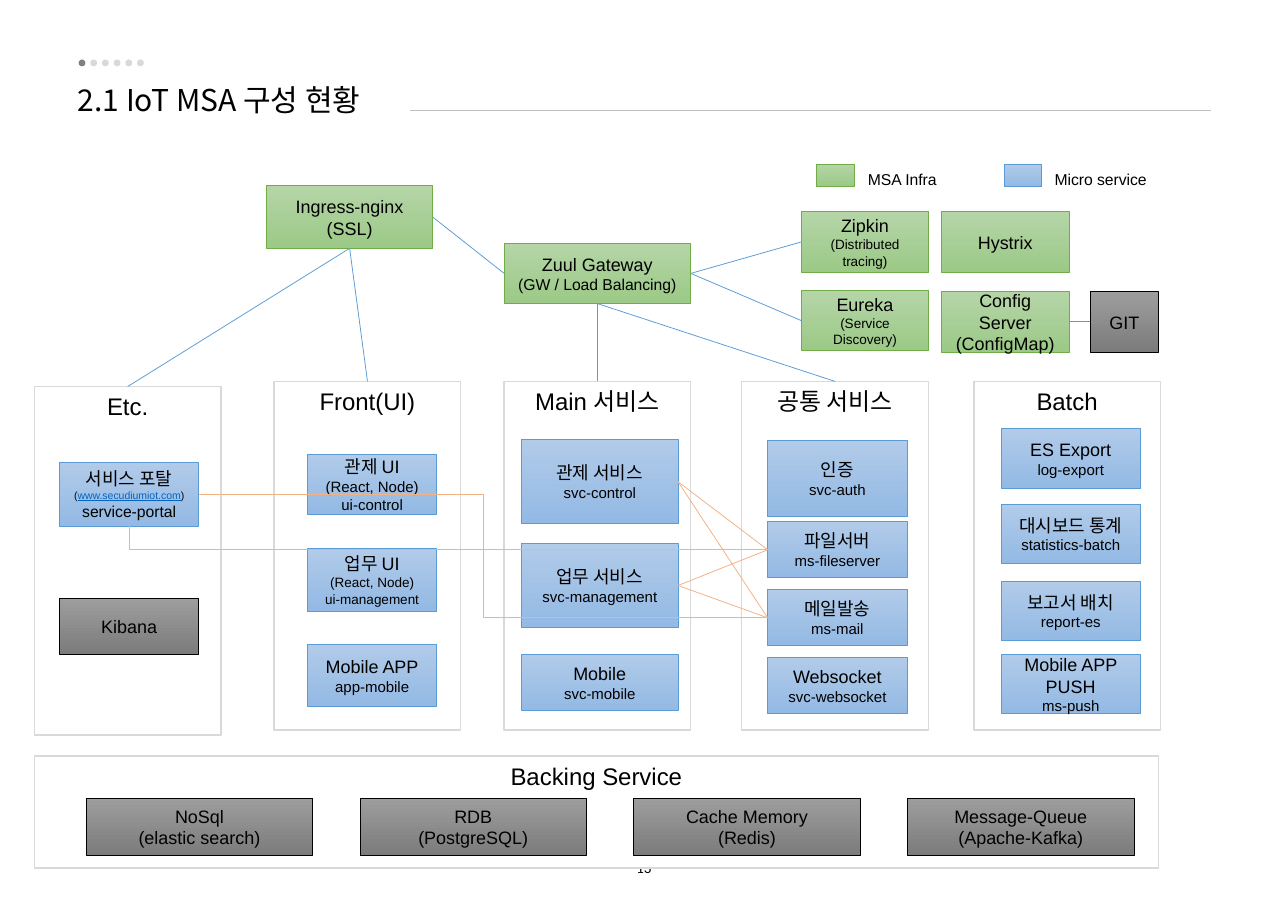
from lxml import etree
from pptx import Presentation
from pptx.dml.color import RGBColor
from pptx.enum.shapes import MSO_CONNECTOR as Connector, MSO_SHAPE as Shape
from pptx.enum.text import MSO_ANCHOR as Anchor, MSO_AUTO_SIZE as AutoSize, PP_ALIGN as Align
from pptx.oxml.ns import qn
from pptx.util import Cm, Pt


def color(value):
    return RGBColor.from_string(value)


def write(frame, lines, align=Align.CENTER, font="Arial"):
    """Fill a text frame with lines of the form (size, run, run, ...)."""
    for index, (size, *texts) in enumerate(lines):
        paragraph = frame.add_paragraph() if index else frame.paragraphs[0]
        paragraph.alignment = align
        for text in texts:
            is_link = text.startswith("www.")
            run = paragraph.add_run()
            run.text = text
            run.font.name = font
            run.font.size = Pt(size)
            run.font.underline = is_link
            run.font.color.rgb = color("0563C1" if is_link else "000000")


presentation = Presentation()
presentation.slide_width = Cm(30.3)
presentation.slide_height = Cm(21.59)
slide = presentation.slides.add_slide(presentation.slide_layouts[5])
shapes = slide.shapes

# Heading: title, progress dots and rule
title = shapes.title
title.left, title.top, title.width, title.height = Cm(1.83), Cm(1.88), Cm(7.8), Cm(1.02)
frame = title.text_frame
frame.word_wrap = False
frame.auto_size = AutoSize.SHAPE_TO_FIT_TEXT
frame.vertical_anchor = Anchor.MIDDLE
frame.margin_left, frame.margin_right = 0, Cm(0.1)
write(frame, [(20, "2.1 IoT MSA 구성 현황")], Align.LEFT, "Noto Sans CJK KR")
frame.paragraphs[0].line_spacing = 0.9

for index in range(6):
    dot = shapes.add_shape(Shape.OVAL, Cm(1.85 + 0.275 * index), Cm(1.4), Cm(0.16), Cm(0.16))
    dot.shadow.inherit = False
    dot.fill.solid()
    dot.fill.fore_color.rgb = color("D9D9D9" if index else "808080")
    dot.line.fill.background()

rule = shapes.add_connector(Connector.STRAIGHT, Cm(9.65), Cm(2.59), Cm(28.5), Cm(2.59))
connectors = [(rule, "BFBFBF")]

# Page number and legend labels
labels = [
    (13.03, 20.07, 4.24, 1.14, 10, "13", Align.CENTER, "Calibri"),
    (20.17, 3.86, 2.92, 0.71, 10.5, "MSA Infra", Align.LEFT, "Arial"),
    (24.56, 3.86, 2.92, 0.71, 10.5, "Micro service", Align.LEFT, "Arial"),
]
for left, top, width, height, size, text, align, font in labels:
    label = shapes.add_textbox(Cm(left), Cm(top), Cm(width), Cm(height))
    label.text_frame.word_wrap = True
    write(label.text_frame, [(size, text)], align, font)

# Styles: fill at the top, fill at the bottom, line, line width
PANEL = ("FFFFFF", "FFFFFF", "D9D9D9", 1)
INFRA = ("B5D5A7", "9CC987", "70AD47", 0.5)
SERVICE = ("B1CBE9", "93B9E4", "5B9BD5", 0.5)
EXTERNAL = ("9D9D9D", "7C7C7C", "000000", 0.5)

boxes = [
    (INFRA, 19.2, 3.86, 0.89, 0.53, []),
    (SERVICE, 23.62, 3.86, 0.89, 0.53, []),
    (INFRA, 6.27, 4.37, 3.91, 1.47, [(12, "Ingress-nginx"), (12, "(SSL)")]),
    (INFRA, 11.86, 5.72, 4.39, 1.42, [(12, "Zuul Gateway"), (10.5, "(GW / Load Balancing)")]),
    (INFRA, 18.85, 4.98, 3, 1.42, [(12, "Zipkin"), (9, "(Distributed tracing)")]),
    (INFRA, 22.15, 4.98, 3, 1.42, [(12, "Hystrix")]),
    (INFRA, 18.85, 6.83, 3, 1.42, [(12, "Eureka"), (9, "(Service Discovery)")]),
    (INFRA, 22.15, 6.86, 3, 1.42, [(12, "Config"), (12, "Server"), (12, "(ConfigMap)")]),
    (EXTERNAL, 25.65, 6.86, 1.6, 1.42, [(12, "GIT")]),
    (PANEL, 0.81, 17.78, 26.44, 2.64, [(16, "Backing Service")]),
]

backing_services = [
    ("NoSql", "(elastic search)"), ("RDB", "(PostgreSQL)"),
    ("Cache Memory", "(Redis)"), ("Message-Queue", "(Apache-Kafka)"),
]
for index, (name, product) in enumerate(backing_services):
    boxes.append((EXTERNAL, 2.03 + 6.44 * index, 18.77, 5.33, 1.35, [(12, name), (12, product)]))

# Columns: panel name, left and top, then left and width of its boxes,
# then top, height, style and lines of each box
columns = [
    ("Etc.", 0.81, 9.09, 1.4, 3.28, [
        (10.87, 1.5, SERVICE, [(12, "서비스 포탈"), (7, "(", "www.secudiumiot.com", ")"),
                               (10.5, "service-portal")]),
        (14.07, 1.32, EXTERNAL, [(12, "Kibana")]),
    ]),
    ("Front(UI)", 6.45, 8.97, 7.24, 3.03, [
        (10.69, 1.4, SERVICE, [(12, "관제 UI"), (10, "(React, Node)"), (10, "ui-control")]),
        (12.9, 1.47, SERVICE, [(12, "업무 UI"), (9, "(React, Node)"), (9, "ui-management")]),
        (15.16, 1.45, SERVICE, [(12, "Mobile APP"), (10, "app-mobile")]),
    ]),
    ("Main 서비스", 11.86, 8.97, 12.27, 3.68, [
        (10.34, 1.98, SERVICE, [(12, "관제 서비스"), (10, "svc-control")]),
        (12.78, 1.98, SERVICE, [(12, "업무 서비스"), (10, "svc-management")]),
        (15.39, 1.32, SERVICE, [(12, "Mobile"), (10, "svc-mobile")]),
    ]),
    ("공통 서비스", 17.45, 8.97, 18.06, 3.28, [
        (10.36, 1.78, SERVICE, [(12, "인증"), (10, "svc-auth")]),
        (12.27, 1.32, SERVICE, [(12, "파일서버"), (10, "ms-fileserver")]),
        (13.87, 1.32, SERVICE, [(12, "메일발송"), (10, "ms-mail")]),
        (15.47, 1.32, SERVICE, [(12, "Websocket"), (10, "svc-websocket")]),
    ]),
    ("Batch", 22.91, 8.97, 23.55, 3.28, [
        (10.08, 1.4, SERVICE, [(12, "ES Export"), (10, "log-export")]),
        (11.86, 1.4, SERVICE, [(12, "대시보드 통계"), (10, "statistics-batch")]),
        (13.67, 1.4, SERVICE, [(12, "보고서 배치"), (10, "report-es")]),
        (15.39, 1.4, SERVICE, [(12, "Mobile APP PUSH"), (10, "ms-push")]),
    ]),
]
for name, panel_left, panel_top, left, width, items in columns:
    boxes.append((PANEL, panel_left, panel_top, 4.39, 8.2, [(16, name)]))
    for top, height, style, lines in items:
        boxes.append((style, left, top, width, height, lines))

box_by_name = {}
for style, left, top, width, height, lines in boxes:
    top_fill, bottom_fill, line_color, line_width = style
    box = shapes.add_shape(Shape.RECTANGLE, Cm(left), Cm(top), Cm(width), Cm(height))
    box.shadow.inherit = False
    if style is PANEL:
        box.fill.solid()
        box.fill.fore_color.rgb = color(top_fill)
    else:
        box.fill.gradient()
        box.fill.gradient_angle = 270
        for stop, value in zip(box.fill.gradient_stops, (top_fill, bottom_fill)):
            stop.color.rgb = color(value)
    box.line.color.rgb = color(line_color)
    box.line.width = Pt(line_width)
    box.text_frame.word_wrap = True
    box.text_frame.vertical_anchor = Anchor.TOP if style is PANEL else Anchor.MIDDLE
    write(box.text_frame, lines)
    if lines:
        box_by_name[lines[0][1]] = box

# Links between the connection sites of the boxes
TOP, LEFT, BOTTOM, RIGHT = range(4)
BLUE, ORANGE = "5B9BD5", "F4B183"
links = [
    ("Zuul Gateway", LEFT, "Ingress-nginx", RIGHT, BLUE, "line"),
    ("Ingress-nginx", BOTTOM, "Front(UI)", TOP, BLUE, "line"),
    ("Ingress-nginx", BOTTOM, "Etc.", TOP, BLUE, "line"),
    ("Zuul Gateway", BOTTOM, "Main 서비스", TOP, BLUE, "line"),
    ("Zuul Gateway", BOTTOM, "공통 서비스", TOP, BLUE, "line"),
    ("Zipkin", LEFT, "Zuul Gateway", RIGHT, BLUE, "line"),
    ("Eureka", LEFT, "Zuul Gateway", RIGHT, BLUE, "line"),
    ("GIT", LEFT, "Config", RIGHT, BLUE, "line"),
    ("파일서버", LEFT, "관제 서비스", RIGHT, ORANGE, "line"),
    ("메일발송", LEFT, "관제 서비스", RIGHT, ORANGE, "line"),
    ("파일서버", LEFT, "업무 서비스", RIGHT, ORANGE, "line"),
    ("메일발송", LEFT, "업무 서비스", RIGHT, ORANGE, "line"),
    ("파일서버", LEFT, "서비스 포탈", BOTTOM, ORANGE, "bentConnector2"),
    ("서비스 포탈", RIGHT, "메일발송", LEFT, ORANGE, "bentConnector3"),
]
for start, start_site, end, end_site, line_color, geometry in links:
    connector = shapes.add_connector(Connector.STRAIGHT, 0, 0, 0, 0)
    connector.begin_connect(box_by_name[start], start_site)
    connector.end_connect(box_by_name[end], end_site)
    connector._element.spPr.find(qn("a:prstGeom")).set("prst", geometry)
    connectors.append((connector, line_color))

for connector, line_color in connectors:
    connector.line.color.rgb = color(line_color)
    connector.line.width = Pt(0.5)
    etree.SubElement(connector._element.spPr, qn("a:effectLst"))

presentation.save("out.pptx")
